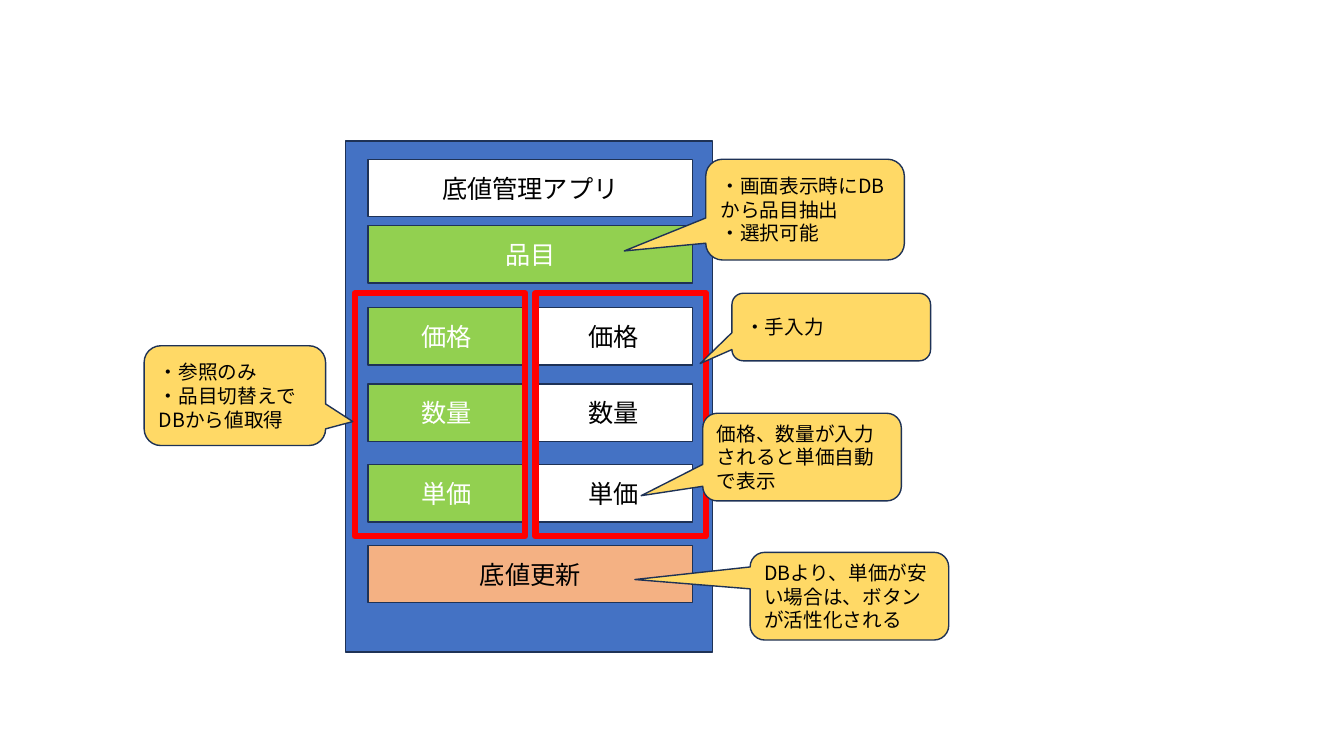
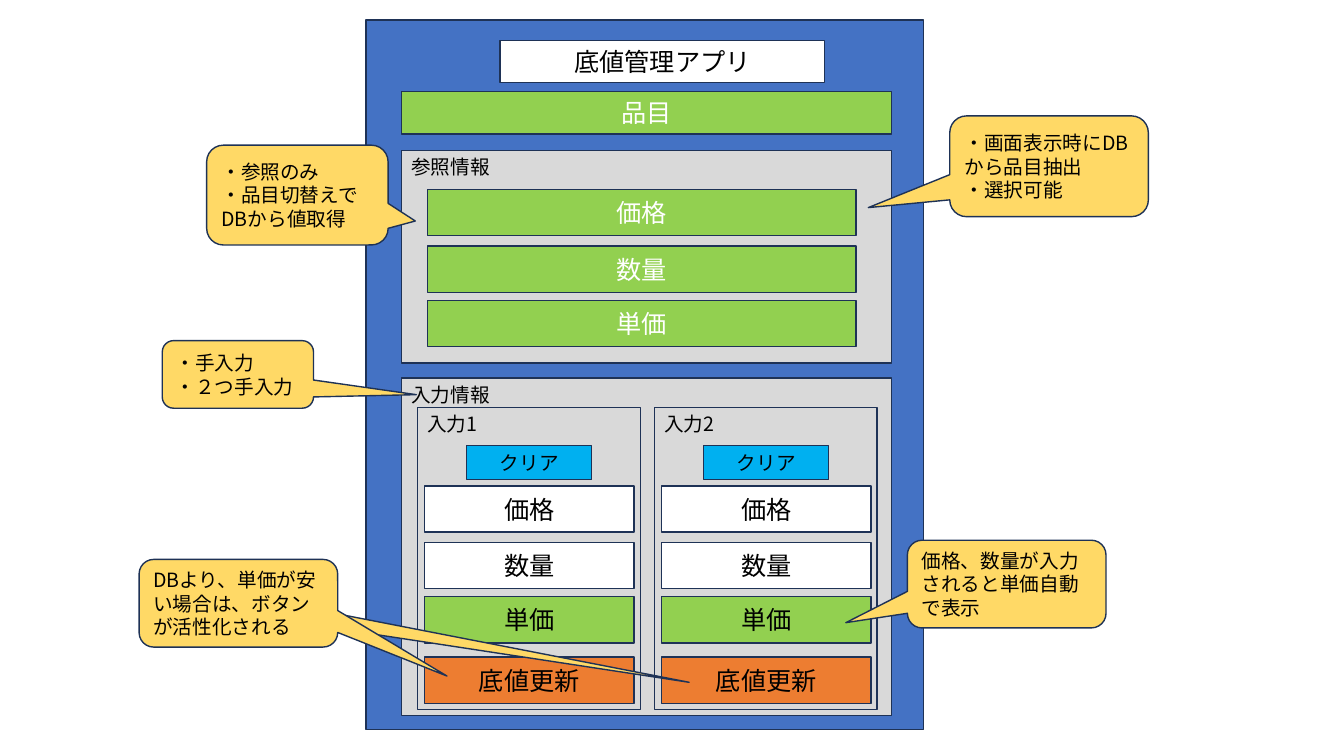
from lxml import etree
from pptx import Presentation
from pptx.dml.color import RGBColor
from pptx.enum.lang import MSO_LANGUAGE_ID
from pptx.enum.shapes import MSO_SHAPE
from pptx.enum.text import MSO_ANCHOR, PP_ALIGN
from pptx.oxml.ns import qn
from pptx.util import Inches, Pt

RECTANGLE = MSO_SHAPE.RECTANGLE
CALLOUT = MSO_SHAPE.ROUNDED_RECTANGULAR_CALLOUT
TOP, MIDDLE = MSO_ANCHOR.TOP, MSO_ANCHOR.MIDDLE
LEFT, CENTER = PP_ALIGN.LEFT, PP_ALIGN.CENTER
JAPANESE = MSO_LANGUAGE_ID.JAPANESE
FONT = "Noto Sans CJK JP"

COLORS = {
    "app": "4472C4",
    "panel": "D9D9D9",
    "green": "92D050",
    "white": "FFFFFF",
    "black": "000000",
    "note": "FFD966",
    "peach": "F4B183",
    "orange": "ED7D31",
    "clear": "00B0F0",
    "outline": "1E3256",
    "frame": "FF0000",
}

FIELD = {"size": 18, "color": "black", "align": CENTER, "anchor": MIDDLE}
READ_ONLY = {**FIELD, "color": "white"}
BUTTON = {**FIELD, "size": 14}
PANEL = {"size": 14, "color": "black", "align": LEFT, "anchor": TOP}
NOTE = {**PANEL, "anchor": MIDDLE}

TITLE = "底値管理アプリ"
ITEM = "品目"
UPDATE = "底値更新"
FIELDS = ["価格", "数量", "単価"]
ITEM_NOTE = "・画面表示時にDBから品目抽出\n・選択可能"
READ_NOTE = "・参照のみ\n・品目切替えでDBから値取得"
PRICE_NOTE = "価格、数量が入力されると単価自動で表示"
UPDATE_NOTE = "DBより、単価が安い場合は、ボタンが活性化される"


def add_box(page, place, fill, text="", style=FIELD, kind=RECTANGLE, line=("outline", 1)):
    box = page.shapes.add_shape(kind, *[Inches(length) for length in place])
    box.shadow.inherit = False
    if fill:
        box.fill.solid()
        box.fill.fore_color.rgb = RGBColor.from_string(COLORS[fill])
    else:
        box.fill.background()
    box.line.color.rgb = RGBColor.from_string(COLORS[line[0]])
    box.line.width = Pt(line[1])
    frame = box.text_frame
    frame.word_wrap = True
    frame.vertical_anchor = style["anchor"]
    if text:
        for number, words in enumerate(text.split("\n")):
            para = frame.add_paragraph() if number else frame.paragraphs[0]
            para.alignment = style["align"]
            span = para.add_run()
            span.text = words
            span.font.color.rgb = RGBColor.from_string(COLORS[style["color"]])
            font_values = {"name": FONT, "size": Pt(style["size"]), "language_id": JAPANESE}
            for name, value in font_values.items():
                setattr(span.font, name, value)
            etree.SubElement(span.font._element, qn("a:ea"), typeface=FONT)
    return box


def add_notes(page, notes):
    for place, tip, text in notes:
        note = add_box(page, place, "note", text, NOTE, CALLOUT)
        for number, value in enumerate(tip):
            note.adjustments[number] = value


deck = Presentation()
deck.slide_width, deck.slide_height = Inches(13.33), Inches(7.5)
blank = deck.slide_layouts[6]

page = deck.slides.add_slide(blank)
add_box(page, (3.43, 1.4, 3.64, 5.07), "app")
for top, fill, text, style in [
    (1.58, "white", TITLE, FIELD),
    (2.24, "green", ITEM, READ_ONLY),
    (5.41, "peach", UPDATE, FIELD),
]:
    add_box(page, (3.65, top, 3.22, 0.57), fill, text, style)
for left, frame_left, fill, style in [
    (3.65, 3.52, "green", READ_ONLY),
    (5.31, 5.31, "white", FIELD),
]:
    for top, text in zip([3.05, 3.81, 4.61], FIELDS):
        add_box(page, (left, top, 1.56, 0.57), fill, text, style)
    add_box(page, (frame_left, 2.91, 1.69, 2.41), None, line=("frame", 4.5))
add_notes(page, [
    ((7, 1.58, 1.97, 1), (-0.91, 0.41), ITEM_NOTE),
    ((1.43, 3.43, 1.8, 0.99), (0.65, 0.26), READ_NOTE),
    ((7.26, 2.91, 1.97, 0.67), (-0.66, 0.54), "・手入力"),
    ((6.97, 4.1, 1.97, 0.87), (-0.81, 0.44), PRICE_NOTE),
    ((7.44, 5.48, 1.97, 0.87), (-1.08, -0.19), UPDATE_NOTE),
])

page = deck.slides.add_slide(blank)
add_box(page, (3.63, 0.2, 5.53, 7.04), "app")
add_box(page, (4.96, 0.4, 3.22, 0.42), "white", TITLE)
add_box(page, (3.98, 0.91, 4.86, 0.42), "green", ITEM, READ_ONLY)
add_box(page, (3.98, 1.49, 4.86, 2.11), "panel", "参照情報", PANEL)
add_box(page, (3.98, 3.75, 4.86, 3.35), "panel", "入力情報", PANEL)
row_offsets = [0, 0.56, 1.1]
for offset, text in zip(row_offsets, FIELDS):
    add_box(page, (4.24, 1.88 + offset, 4.25, 0.46), "green", text, READ_ONLY)
for column in range(2):
    left = 4.14 + column * 2.35
    add_box(page, (left, 4.04, 2.21, 3), "panel", f"入力{column + 1}", PANEL)
    add_box(page, (left + 0.49, 4.42, 1.24, 0.34), "clear", "クリア", BUTTON)
    for offset, text, fill in zip(row_offsets, FIELDS, ["white", "white", "green"]):
        add_box(page, (left + 0.07, 4.82 + offset, 2.08, 0.46), fill, text)
    add_box(page, (left + 0.07, 6.52, 2.08, 0.46), "orange", UPDATE)
add_notes(page, [
    ((9.42, 1.15, 1.97, 1), (-0.91, 0.41), ITEM_NOTE),
    ((2.05, 1.44, 1.8, 0.99), (0.65, 0.26), READ_NOTE),
    ((1.61, 3.38, 1.5, 0.67), (1.18, 0.3), "・手入力\n・２つ手入力"),
    ((9, 5.36, 1.97, 0.87), (-0.81, 0.44), PRICE_NOTE),
    ((2.26, 5.69, 0.89, 0.62), (4.64, 1.24), ""),
    ((1.38, 5.55, 1.97, 0.87), (1.05, 0.83), UPDATE_NOTE),
])

deck.save("out.pptx")
